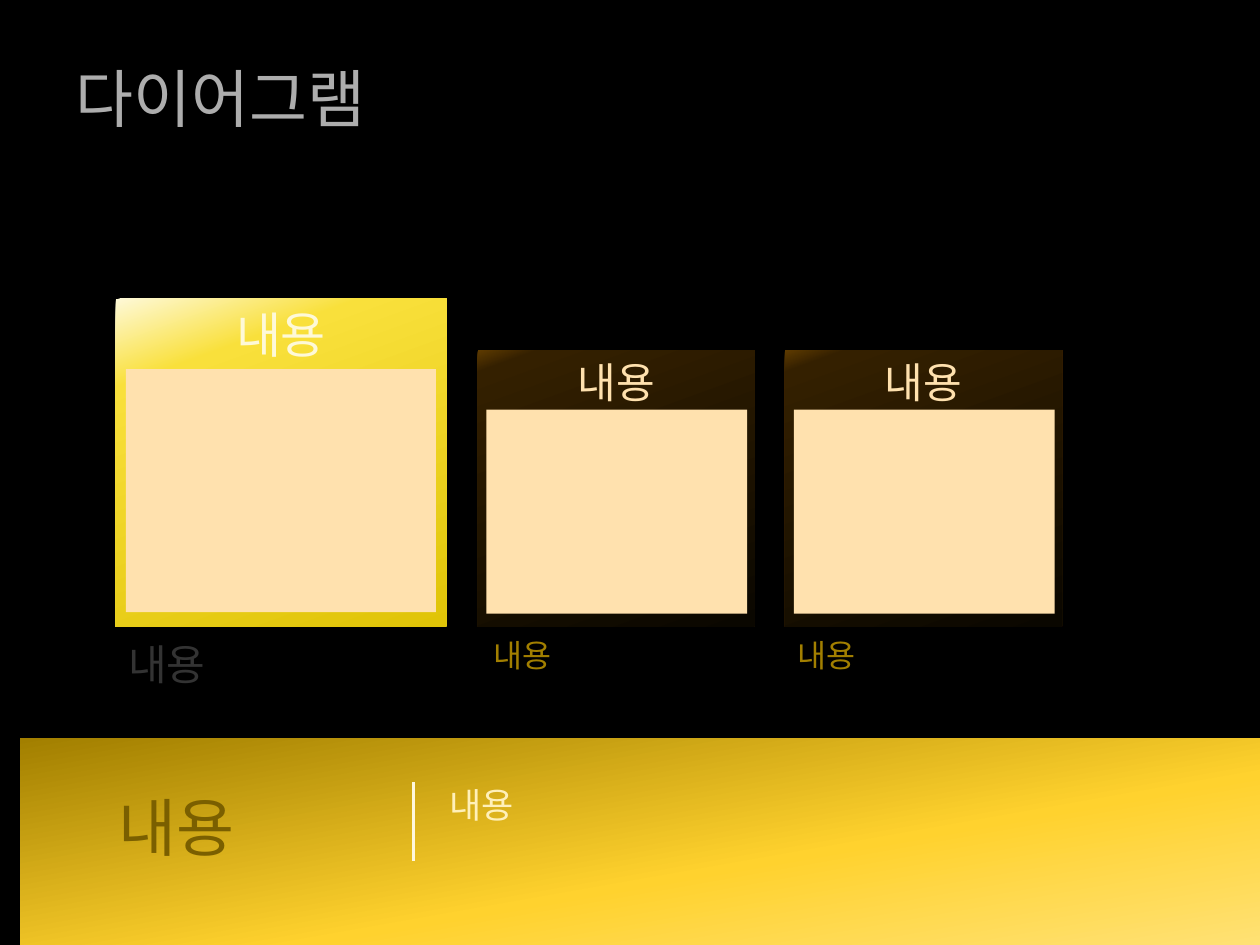
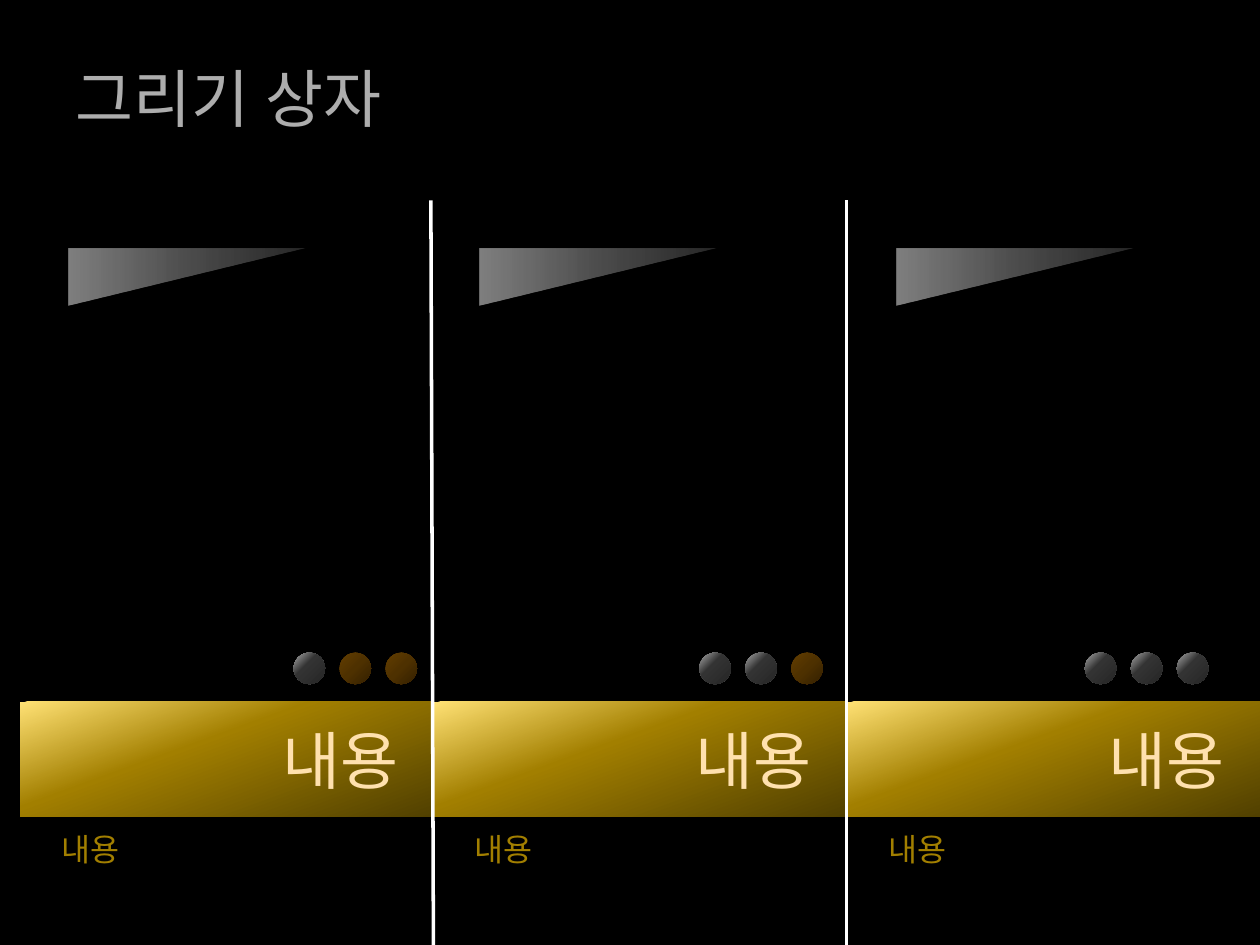
from lxml import etree
from pptx import Presentation
from pptx.dml.color import RGBColor
from pptx.enum.shapes import MSO_CONNECTOR, MSO_SHAPE
from pptx.enum.text import MSO_ANCHOR, PP_ALIGN
from pptx.oxml.ns import qn
from pptx.util import Inches, Pt

RECT, OVAL, TRIANGLE = MSO_SHAPE.RECTANGLE, MSO_SHAPE.OVAL, MSO_SHAPE.RIGHT_TRIANGLE
STRAIGHT = MSO_CONNECTOR.STRAIGHT
TOP, MIDDLE = MSO_ANCHOR.TOP, MSO_ANCHOR.MIDDLE
LEFT, CENTER, RIGHT = PP_ALIGN.LEFT, PP_ALIGN.CENTER, PP_ALIGN.RIGHT

FONT = "Noto Sans"
BLACK, WHITE, GREY, DARK_GREY = "000000", "FFFFFF", "ADADAD", "333333"
CREAM, GOLD, LIGHT_GOLD, IVORY = "FFE1AE", "A27F00", "FFE174", "FEF9D8"
BROWN_CARD = [(0, "5E3B00"), (6, "342000"), (100, "0A0700")]
YELLOW_CARD = [(0, IVORY), (20, "F9E03B"), (100, "E0C407")]
GOLD_BAND = [(0, LIGHT_GOLD), (40, "FFD22E"), (100, GOLD)]
GOLD_HEADER = [(0, LIGHT_GOLD), (40, GOLD), (100, "514000")]
DOT_ON = [(0, GREY), (40, DARK_GREY), (100, "262626")]
DOT_OFF = [(0, "633E00"), (50, "4E3100"), (100, "342000")]
FADE = [(0, WHITE, 15), (50, WHITE, 30), (100, WHITE, 50)]
LABEL = "내용"
INSETS = (0.1, 0.05, 0.1, 0.05)


def rgb(value):
    return RGBColor.from_string(value)


class Deck:
    """Holds the shared style and the current slide."""

    def __init__(self):
        self.prs = Presentation()
        self.prs.slide_width, self.prs.slide_height = Inches(10), Inches(7.5)
        self.s = None

    def slide(self):
        self.s = self.prs.slides.add_slide(self.prs.slide_layouts[6])
        fill = self.s.background.fill
        fill.solid()
        fill.fore_color.rgb = rgb(BLACK)

    def title(self, text):
        self.text((0.5, 0.3, 9, 0.94), text, 36, GREY, anchor=MIDDLE)

    def label(self, sp, text, size, color, align=LEFT, anchor=TOP, insets=INSETS):
        tf = sp.text_frame
        tf.word_wrap = True
        tf.vertical_anchor = anchor
        tf.margin_left, tf.margin_top, tf.margin_right, tf.margin_bottom = map(Inches, insets)
        p = tf.paragraphs[0]
        p.alignment = align
        r = p.add_run()
        r.text = text
        r.font.name, r.font.size = FONT, Pt(size)
        r.font.color.rgb = rgb(color)
        etree.SubElement(r.font._element, qn("a:ea"), typeface=FONT)

    def text(self, box, text, size, color, **style):
        sp = self.s.shapes.add_textbox(*map(Inches, box))
        self.label(sp, text, size, color, **style)

    def shape(self, kind, box, fill, angle=0):
        sp = self.s.shapes.add_shape(kind, *map(Inches, box))
        sp.shadow.inherit = False
        sp.line.fill.background()
        if isinstance(fill, str):
            sp.fill.solid()
            sp.fill.fore_color.rgb = rgb(fill)
        else:
            self.gradient(sp, fill, angle)
        return sp

    def gradient(self, sp, stops, angle):
        sp.fill.gradient()
        sp.fill.gradient_angle = 360 - angle
        gs_list = sp._element.spPr.find(qn("a:gradFill")).find(qn("a:gsLst"))
        for gs in list(gs_list):
            gs_list.remove(gs)
        for pos, color, *alpha in stops:
            gs = etree.SubElement(gs_list, qn("a:gs"), pos=str(pos * 1000))
            clr = etree.SubElement(gs, qn("a:srgbClr"), val=color)
            for value in alpha:
                etree.SubElement(clr, qn("a:alpha"), val=str(value * 1000))

    def line(self, x1, y1, x2, y2, color):
        cxn = self.s.shapes.add_connector(STRAIGHT, *map(Inches, (x1, y1, x2, y2)))
        cxn.line.color.rgb = rgb(color)
        cxn.line.width = Pt(2)
        etree.SubElement(cxn._element.spPr, qn("a:effectLst"))

    def card(self, box, panel, fill, size, color):
        sp = self.shape(RECT, box, fill, 70)
        self.label(sp, LABEL, size, color, align=CENTER)
        self.shape(RECT, panel, CREAM)

    def dots(self, left, lit):
        for i in range(3):
            box = (left + i * 0.365, 5.18, 0.25, 0.25)
            self.shape(OVAL, box, DOT_ON if i < lit else DOT_OFF, 45)


def diagram_slide(deck):
    deck.slide()
    deck.title("다이어그램")
    for x in (3.79, 6.23):
        deck.card((x, 2.78, 2.2, 2.19), (x + 0.07, 3.25, 2.07, 1.62), BROWN_CARD, 24, CREAM)
    deck.card((0.92, 2.37, 2.62, 2.6), (1, 2.93, 2.46, 1.93), YELLOW_CARD, 28, IVORY)
    for x in (3.82, 6.23):
        deck.text((x, 5, 2.18, 0.4), LABEL, 18, GOLD)
    deck.text((0.92, 5.02, 2.6, 0.5), LABEL, 24, DARK_GREY)
    deck.shape(RECT, (0.16, 5.86, 9.84, 1.64), GOLD_BAND, 260)
    deck.text((0.94, 6.26, 2.16, 0.6), LABEL, 36, "7A5F00", anchor=MIDDLE, insets=(0, 0, 0, 0))
    deck.text((3.47, 6.17, 5.83, 0.77), LABEL, 20, "FFF0B9")
    deck.line(3.28, 6.21, 3.28, 6.83, "FFF7DC")


def boxes_slide(deck):
    deck.slide()
    deck.title("그리기 상자")
    width = 3.28
    columns = [(2.33, 0.54), (5.55, 3.8), (8.61, 7.11)]
    for i, (dots_left, wedge_left) in enumerate(columns):
        x = 0.16 + i * width
        header = deck.shape(RECT, (x, 5.57, width, 0.91), GOLD_HEADER, 70)
        deck.label(header, LABEL, 36, CREAM, RIGHT, MIDDLE, (0.1, 0.05, 0.28, 0.05))
        deck.text((x + 0.23, 6.54, 2.81, 0.71), LABEL, 18, GOLD)
        deck.dots(dots_left, i + 1)
        wedge = deck.shape(TRIANGLE, (wedge_left + 0.72, 1.26, 0.45, 1.88), FADE, 90)
        wedge.rotation = 90
    for bottom, top in ((3.44, 3.42), (6.72, 6.72)):
        deck.line(bottom, 7.5, top, 1.59, WHITE)


def main():
    deck = Deck()
    diagram_slide(deck)
    boxes_slide(deck)
    deck.prs.save("out.pptx")


if __name__ == "__main__":
    main()
